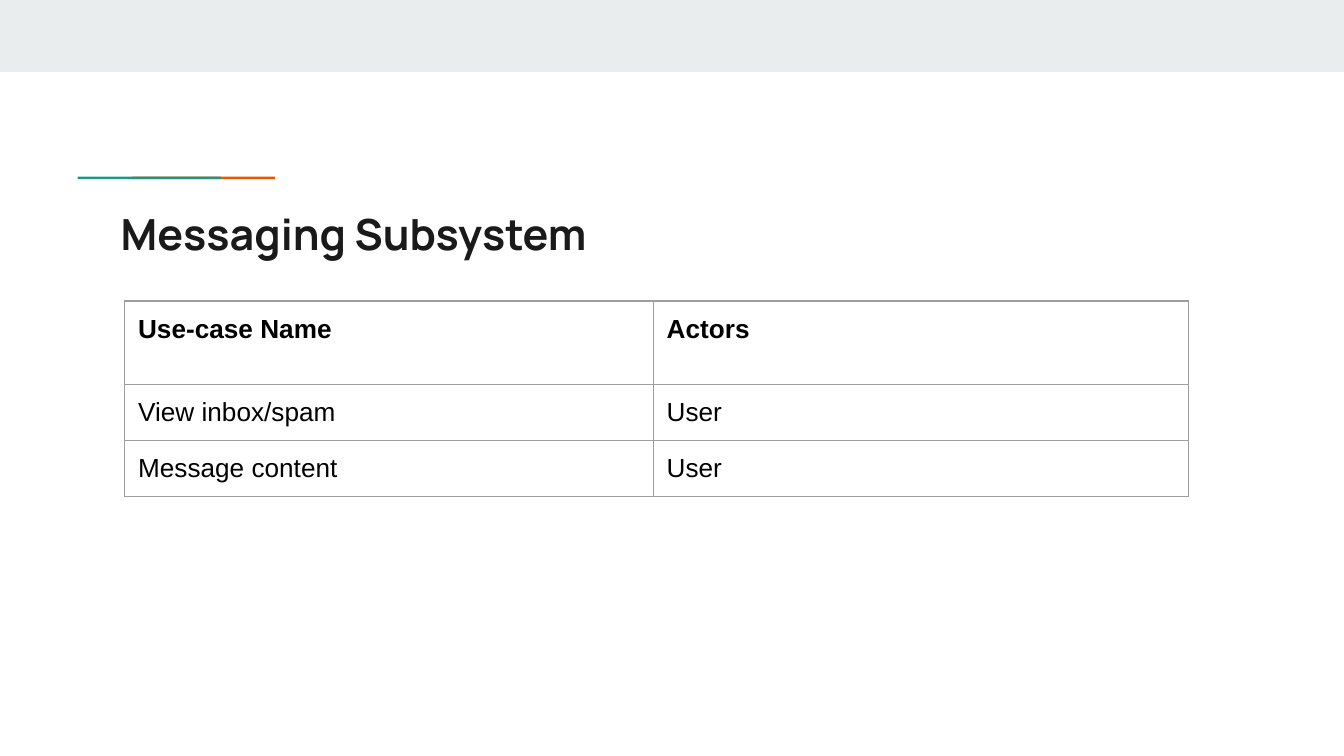
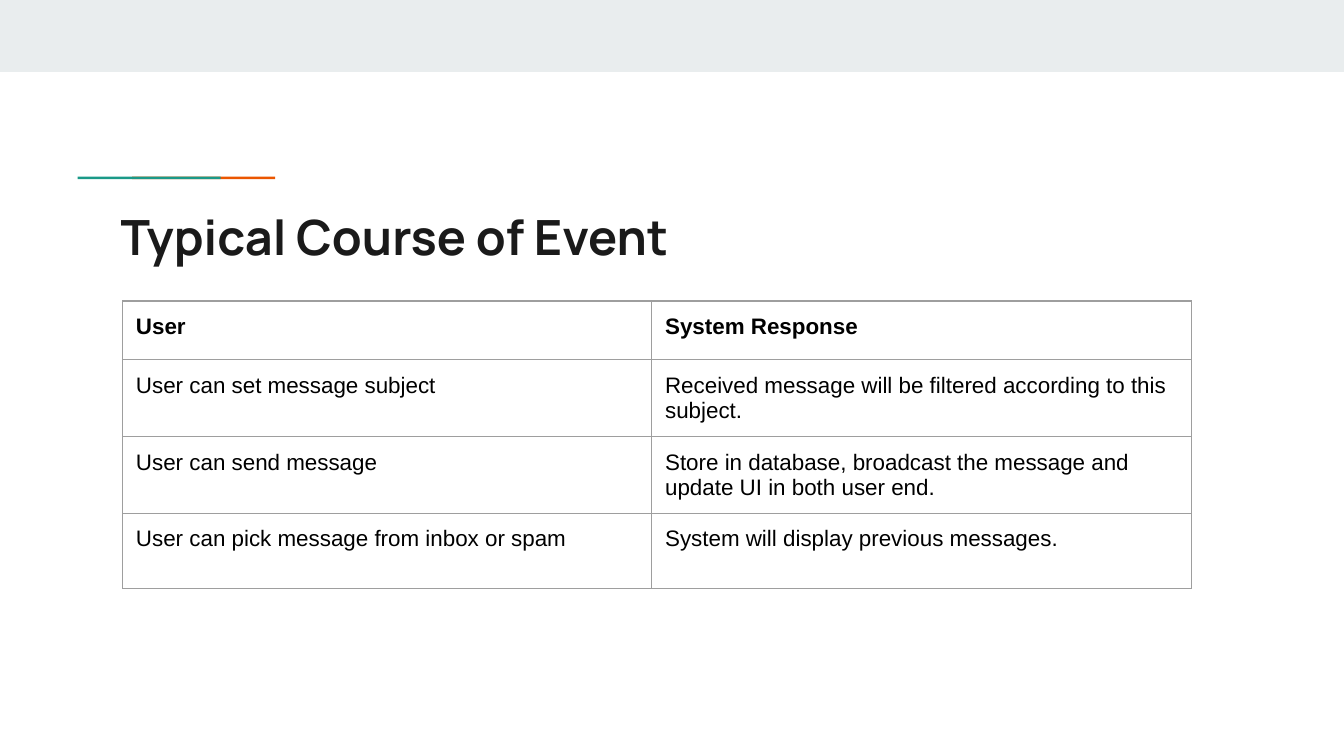
"""Build two slides with use-case tables for a messaging subsystem."""
from lxml import etree
from pptx import Presentation
from pptx import util as u
from pptx.dml.color import RGBColor
from pptx.enum import shapes, text
from pptx.oxml.ns import qn

COLOURS = {
    "band": "E9EDEE",
    "teal": "1A9988",
    "orange": "EB5600",
    "title": "1A1A1A",
    "body": "000000",
    "border": "9E9E9E",
}
MARGIN = u.Cm(0.25)

BARS = [
    ("band", 0, 0, 25.4, 1.36),
    ("orange", 2.5, 3.34, 2.7, 0.05),
    ("teal", 1.47, 3.34, 2.7, 0.05),
]

PAGES = [
    {
        "title": "Messaging Subsystem",
        "title_size": 23,
        "left": 2.36,
        "columns": [9.99, 10.11],
        "heights": [1.58, 1.06, 1.06],
        "size": 14,
        "rows": [
            ("Use-case Name", "Actors"),
            ("View inbox/spam", "User"),
            ("Message content", "User"),
        ],
    },
    {
        "title": "Typical Course of Event",
        "title_size": 26,
        "left": 2.32,
        "columns": [10, 10.2],
        "heights": [1.11, 1.45, 1.45, 1.42],
        "size": 12,
        "rows": [
            ("User", "System Response"),
            ("User can set message subject",
             "Received message will be filtered according to this subject."),
            ("User can send message",
             "Store in database, broadcast the message and update UI in both user end."),
            ("User can pick message from inbox or spam",
             "System will display previous messages."),
        ],
    },
]


def style_font(font, name, size, colour, bold):
    font.name = name
    font.size = u.Pt(size)
    font.bold = bold
    font.color.rgb = RGBColor.from_string(COLOURS[colour])


def add_borders(cell):
    properties = cell._tc.get_or_add_tcPr()
    for side in ("lnL", "lnR", "lnT", "lnB"):
        line = etree.SubElement(properties, qn(f"a:{side}"), w=str(u.Pt(0.75)))
        fill = etree.SubElement(line, qn("a:solidFill"))
        etree.SubElement(fill, qn("a:srgbClr"), val=COLOURS["border"])


deck = Presentation()
deck.slide_width = u.Cm(25.4)
deck.slide_height = u.Cm(14.29)

for content in PAGES:
    page = deck.slides.add_slide(deck.slide_layouts[5])

    for colour, *place in BARS:
        bar = page.shapes.add_shape(
            shapes.MSO_SHAPE.RECTANGLE, *[u.Cm(length) for length in place])
        bar.shadow.inherit = False
        bar.fill.solid()
        bar.fill.fore_color.rgb = RGBColor.from_string(COLOURS[colour])
        bar.line.fill.background()

    title = page.shapes.title
    title.left, title.top = u.Cm(2.03), u.Cm(3.67)
    title.width, title.height = u.Cm(21.36), u.Cm(1.5)
    box = title.text_frame
    box.text = content["title"]
    box.word_wrap = True
    box.auto_size = text.MSO_AUTO_SIZE.NONE
    box.vertical_anchor = text.MSO_ANCHOR.TOP
    box.margin_left = box.margin_right = MARGIN
    box.margin_top = box.margin_bottom = MARGIN
    para = box.paragraphs[0]
    para.alignment = text.PP_ALIGN.LEFT
    style_font(para.font, "Manrope", content["title_size"], "title", True)

    rows = content["rows"]
    frame = page.shapes.add_table(
        len(rows), len(content["columns"]), u.Cm(content["left"]), u.Cm(5.69),
        u.Cm(sum(content["columns"])), u.Cm(sum(content["heights"])))
    table = frame.table
    table.first_row = table.horz_banding = False
    for column, width in zip(table.columns, content["columns"]):
        column.width = u.Cm(width)
    for row, height in zip(table.rows, content["heights"]):
        row.height = u.Cm(height)

    for row_index, row in enumerate(rows):
        for column_index, wording in enumerate(row):
            cell = table.cell(row_index, column_index)
            cell.text = wording
            cell.margin_left = cell.margin_right = MARGIN
            cell.margin_top = cell.margin_bottom = MARGIN
            add_borders(cell)
            cell.fill.background()
            style_font(cell.text_frame.paragraphs[0].font, "Arial",
                       content["size"], "body", row_index == 0)

deck.save("out.pptx")
